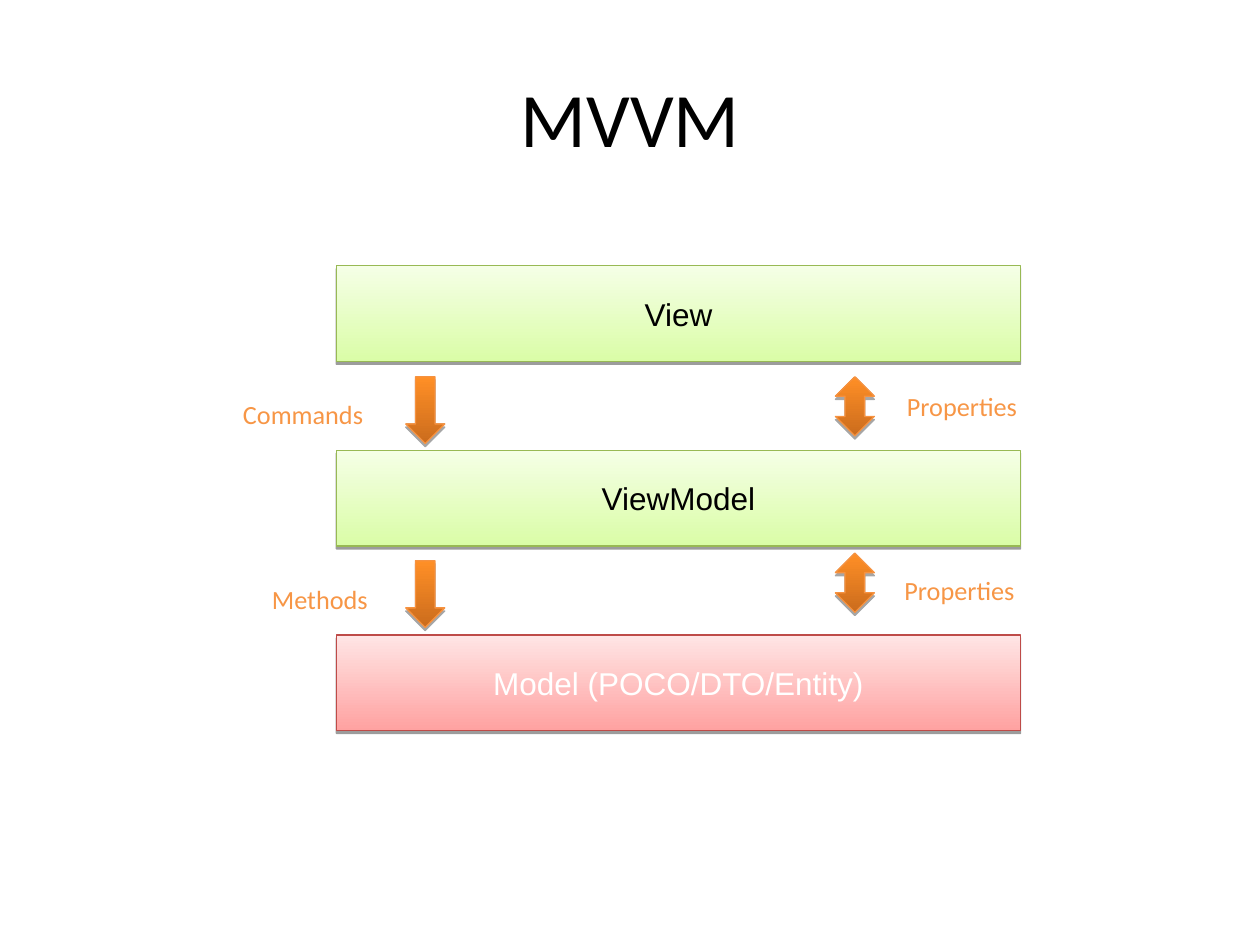
"""Build the MVVM layer diagram slide."""
from dataclasses import dataclass

from lxml import etree
from pptx import Presentation
from pptx.dml.color import RGBColor
from pptx.enum.shapes import MSO_SHAPE
from pptx.enum.text import MSO_ANCHOR, MSO_AUTO_SIZE, PP_ALIGN
from pptx.oxml.ns import qn
from pptx.util import Inches, Pt

RECTANGLE = MSO_SHAPE.RECTANGLE
DOWN = MSO_SHAPE.DOWN_ARROW
UP_DOWN = MSO_SHAPE.UP_DOWN_ARROW
MIDDLE = MSO_ANCHOR.MIDDLE
CENTER = PP_ALIGN.CENTER
LEFT = PP_ALIGN.LEFT
FIT_SHAPE = MSO_AUTO_SIZE.SHAPE_TO_FIT_TEXT

COLORS = {
    "black": "000000",
    "white": "FFFFFF",
    "label": "F79646",
    "green_bottom": "DAFDA7",
    "green_top": "F5FFE6",
    "green_line": "98B954",
    "red_bottom": "FFA2A1",
    "red_top": "FFE5E5",
    "red_line": "BE4B48",
    "orange_bottom": "CB6C1D",
    "orange_top": "FF8F26",
    "orange_line": "F69240",
}

LAYER_LEFT, LAYER_TOP = 2.67, 2.11
LAYER_WIDTH, LAYER_HEIGHT = 5.43, 0.76
LAYER_STEP = 1.465
ARROW_WIDTH = 0.31
LABEL_HEIGHT = 0.35


@dataclass
class Layer:
    text: str
    palette: str
    text_color: str


@dataclass
class Arrow:
    kind: int
    left: float
    top: float
    height: float


@dataclass
class Label:
    text: str
    left: float
    top: float
    width: float


LAYERS = [
    Layer("View", "green", "black"),
    Layer("ViewModel", "green", "black"),
    Layer("Model (POCO/DTO/Entity)", "red", "white"),
]
ARROWS = [
    Arrow(DOWN, 3.22, 2.99, 0.53),
    Arrow(DOWN, 3.22, 4.45, 0.53),
    Arrow(UP_DOWN, 6.63, 2.99, 0.47),
    Arrow(UP_DOWN, 6.63, 4.39, 0.47),
]
LABELS = [
    Label("Commands", 1.83, 3.11, 1.18),
    Label("Methods", 2.06, 4.58, 0.98),
    Label("Properties", 7.1, 3.05, 1.1),
    Label("Properties", 7.08, 4.51, 1.1),
]


def rgb(name: str) -> RGBColor:
    """Return the named colour."""
    return RGBColor.from_string(COLORS[name])


def write(frame, text: str, font: str, size: float, color: str, align) -> None:
    """Write one formatted run into a text frame."""
    para = frame.paragraphs[0]
    para.alignment = align
    span = para.add_run()
    span.text = text
    span.font.name = font
    span.font.size = Pt(size)
    span.font.color.rgb = rgb(color)


def add_shadow(shape, opacity: int, distance: float) -> None:
    """Give a shape a hard shadow falling straight down."""
    shape.shadow.inherit = False
    effects = shape._element.spPr.find(qn("a:effectLst"))
    shadow = etree.SubElement(
        effects, qn("a:outerShdw"), blurRad="0", dist=str(Pt(distance)),
        dir="5400000", rotWithShape="0")
    color = etree.SubElement(shadow, qn("a:srgbClr"), val=COLORS["black"])
    etree.SubElement(color, qn("a:alpha"), val=str(opacity * 1000))


def add_block(page, kind, left: float, top: float, width: float,
              height: float, palette: str):
    """Add a preset shape with a vertical gradient and thin outline."""
    shape = page.shapes.add_shape(
        kind, Inches(left), Inches(top), Inches(width), Inches(height))
    shape.fill.gradient()
    shape.fill.gradient_angle = 90
    for stop, end in zip(shape.fill.gradient_stops, ("bottom", "top")):
        stop.color.rgb = rgb(f"{palette}_{end}")
    shape.line.color.rgb = rgb(f"{palette}_line")
    shape.line.width = Pt(0.75)
    return shape


def add_layer(page, layer: Layer, row: int) -> None:
    """Add one layer bar of the stack."""
    top = LAYER_TOP + row * LAYER_STEP
    bar = add_block(page, RECTANGLE, LAYER_LEFT, top,
                    LAYER_WIDTH, LAYER_HEIGHT, layer.palette)
    add_shadow(bar, 38, 1.6)
    frame = bar.text_frame
    frame.vertical_anchor = MIDDLE
    frame.margin_left = frame.margin_right = Inches(0.08)
    frame.margin_top = frame.margin_bottom = Inches(0.04)
    write(frame, layer.text, "Arial", 18, layer.text_color, CENTER)


def add_arrow(page, arrow: Arrow) -> None:
    """Add a block arrow between two layers."""
    shape = add_block(page, arrow.kind, arrow.left, arrow.top,
                      ARROW_WIDTH, arrow.height, "orange")
    add_shadow(shape, 35, 1.8)


def add_label(page, label: Label) -> None:
    """Add the caption beside an arrow."""
    box = page.shapes.add_textbox(
        Inches(label.left), Inches(label.top),
        Inches(label.width), Inches(LABEL_HEIGHT))
    frame = box.text_frame
    frame.word_wrap = False
    frame.auto_size = FIT_SHAPE
    write(frame, label.text, "Calibri", 15, "label", LEFT)


def add_title(page, text: str) -> None:
    """Place and fill the title placeholder."""
    title = page.shapes.title
    title.left, title.top = Inches(0.5), Inches(0.3)
    title.width, title.height = Inches(9), Inches(1.25)
    title.text_frame.vertical_anchor = MIDDLE
    write(title.text_frame, text, "Calibri", 44, "black", CENTER)


def main() -> None:
    """Create and save the deck."""
    deck = Presentation()
    deck.slide_width, deck.slide_height = Inches(10), Inches(7.5)
    page = deck.slides.add_slide(deck.slide_layouts[5])
    add_title(page, "MVVM")
    for row, layer in enumerate(LAYERS):
        add_layer(page, layer, row)
    for arrow in ARROWS:
        add_arrow(page, arrow)
    for label in LABELS:
        add_label(page, label)
    deck.save("out.pptx")


if __name__ == "__main__":
    main()
